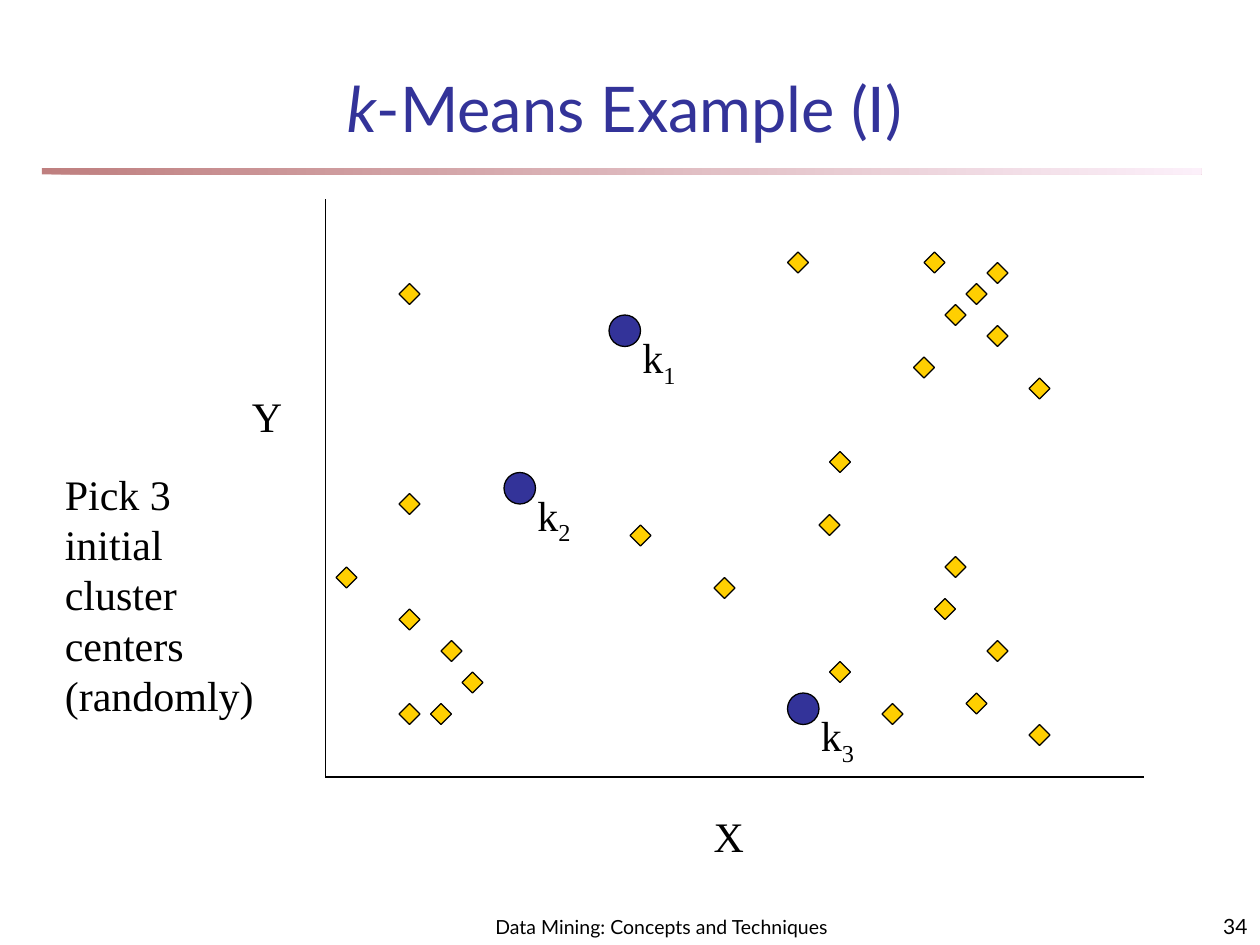
from lxml import etree
from pptx import Presentation
from pptx.dml.color import RGBColor
from pptx.enum import shapes, text
from pptx.oxml.ns import qn
from pptx.util import Cm, Pt

TITLE = [("k", {"italic": True}), ("-Means Example (I)", {})]
NOTE = ["Pick 3", "initial", "cluster", "centers", "(randomly)"]
FOOTER, PAGE = "Data Mining: Concepts and Techniques", "34"

# All places are (left, top) or (left, top, width, height) in grid cells.
CELL = 2.54 / 12
POINTS = [
    (42, 61), (44, 64), (41, 67), (38, 58), (38, 27), (38, 47), (38, 67),
    (32, 54), (60, 50), (88, 24), (94, 25), (92, 27), (90, 29), (94, 31),
    (98, 36), (75, 24), (79, 43), (79, 63), (84, 67), (89, 57), (78, 49),
    (68, 55), (94, 61), (92, 66), (90, 53), (98, 69), (87, 34),
]
CENTERS = [(58, 30), (48, 45), (75, 66)]
POINT_SIZE, CENTER_SIZE = 2, 3
ORIGIN, Y_END, X_END = (31, 74), (31, 19), (109, 74)
AXIS_LABELS = {"X": (66.8, 76.6, 5.3, 6), "Y": (22.8, 36.6, 5.3, 6)}

THEME = {
    "heading_font": "Lato", "body_font": "Times New Roman",
    "ink": "000000", "accent": "333399", "point": "FFCF01",
    "rule": ("800000", "FAE2F6"),
    "title": 36, "body": 24, "footer": 11.1, "page": 12, "line": 0.75,
}


def grid(*cells):
    return [Cm(cell * CELL) for cell in cells]


def color(name):
    return RGBColor.from_string(THEME[name])


def add_run(paragraph, words, size, font="body_font", ink="ink", **styles):
    run = paragraph.add_run()
    run.text = words
    values = {"name": THEME[font], "size": Pt(THEME[size]), **styles}
    for key, value in values.items():
        setattr(run.font, key, value)
    run.font.color.rgb = color(ink)
    return run


def add_text(parent, place, lines, size="body", font="body_font", wrap=True,
             anchor=text.MSO_ANCHOR.TOP, align=text.PP_ALIGN.LEFT):
    frame = parent.add_textbox(*grid(*place)).text_frame
    frame.word_wrap = wrap
    frame.vertical_anchor = anchor
    for index, line in enumerate(lines):
        paragraph = frame.add_paragraph() if index else frame.paragraphs[0]
        paragraph.alignment = align
        add_run(paragraph, line, size, font)
    return frame


def add_marker(parent, kind, place, size, fill):
    shape = parent.add_shape(kind, *grid(*place, size, size))
    shape.shadow.inherit = False
    shape.fill.solid()
    shape.fill.fore_color.rgb = color(fill)
    shape.line.color.rgb = color("ink")
    shape.line.width = Pt(THEME["line"])


def add_center(parent, number, left, top):
    group = parent.add_group_shape().shapes
    add_marker(group, shapes.MSO_SHAPE.OVAL, (left, top), CENTER_SIZE, "accent")
    frame = add_text(group, (left + 2, top + 1, 7, 6.7), ["k"])
    subscript = add_run(frame.paragraphs[0], str(number), "body")
    subscript.font._element.set("baseline", "-25000")


def add_axis(parent, start, end):
    axis = parent.add_connector(shapes.MSO_CONNECTOR.STRAIGHT, *grid(*start, *end))
    axis.line.color.rgb = color("ink")
    axis.line.width = Pt(THEME["line"])
    etree.SubElement(axis._element.spPr, qn("a:effectLst"))


def add_title_rule(parent):
    rule = parent.add_shape(shapes.MSO_SHAPE.RECTANGLE, *grid(4, 16, 110.4, 0.6))
    rule.shadow.inherit = False
    rule.line.fill.background()
    rule.fill.gradient()
    rule.fill.gradient_angle = 0
    for stop, position, value in zip(rule.fill.gradient_stops, (0, 1), THEME["rule"]):
        stop.position = position
        stop.color.rgb = RGBColor.from_string(value)
    for tint in rule._element.spPr.iter(qn("a:srgbClr")):
        etree.SubElement(tint, qn("a:alpha"), val="50000")


def set_title(title):
    title.left, title.top, title.width, title.height = grid(9, 5, 101, 10.5)
    frame = title.text_frame
    frame.vertical_anchor = text.MSO_ANCHOR.MIDDLE
    frame.paragraphs[0].alignment = text.PP_ALIGN.CENTER
    for words, styles in TITLE:
        add_run(frame.paragraphs[0], words, "title", "heading_font", "accent", **styles)


def main():
    presentation = Presentation()
    presentation.slide_width, presentation.slide_height = Cm(25.4), Cm(19.05)
    slide = presentation.slides.add_slide(presentation.slide_layouts[5])
    parts = slide.shapes

    set_title(parts.title)
    add_title_rule(parts)
    for place in POINTS:
        add_marker(parts, shapes.MSO_SHAPE.DIAMOND, place, POINT_SIZE, "point")
    for number, place in enumerate(CENTERS, 1):
        add_center(parts, number, *place)

    add_axis(parts, Y_END, ORIGIN)
    add_axis(parts, ORIGIN, X_END)
    for label, place in AXIS_LABELS.items():
        add_text(parts, place, [label], wrap=False)
    add_text(parts, (5, 44, 20.4, 30), NOTE, wrap=False)

    bottom = {"font": "heading_font", "anchor": text.MSO_ANCHOR.BOTTOM}
    add_text(parts, (44, 85, 38, 5), [FOOTER], "footer",
             align=text.PP_ALIGN.CENTER, **bottom)
    add_text(parts, (95, 85, 25, 5), [PAGE], "page",
             align=text.PP_ALIGN.RIGHT, **bottom)
    presentation.save("out.pptx")


if __name__ == "__main__":
    main()
